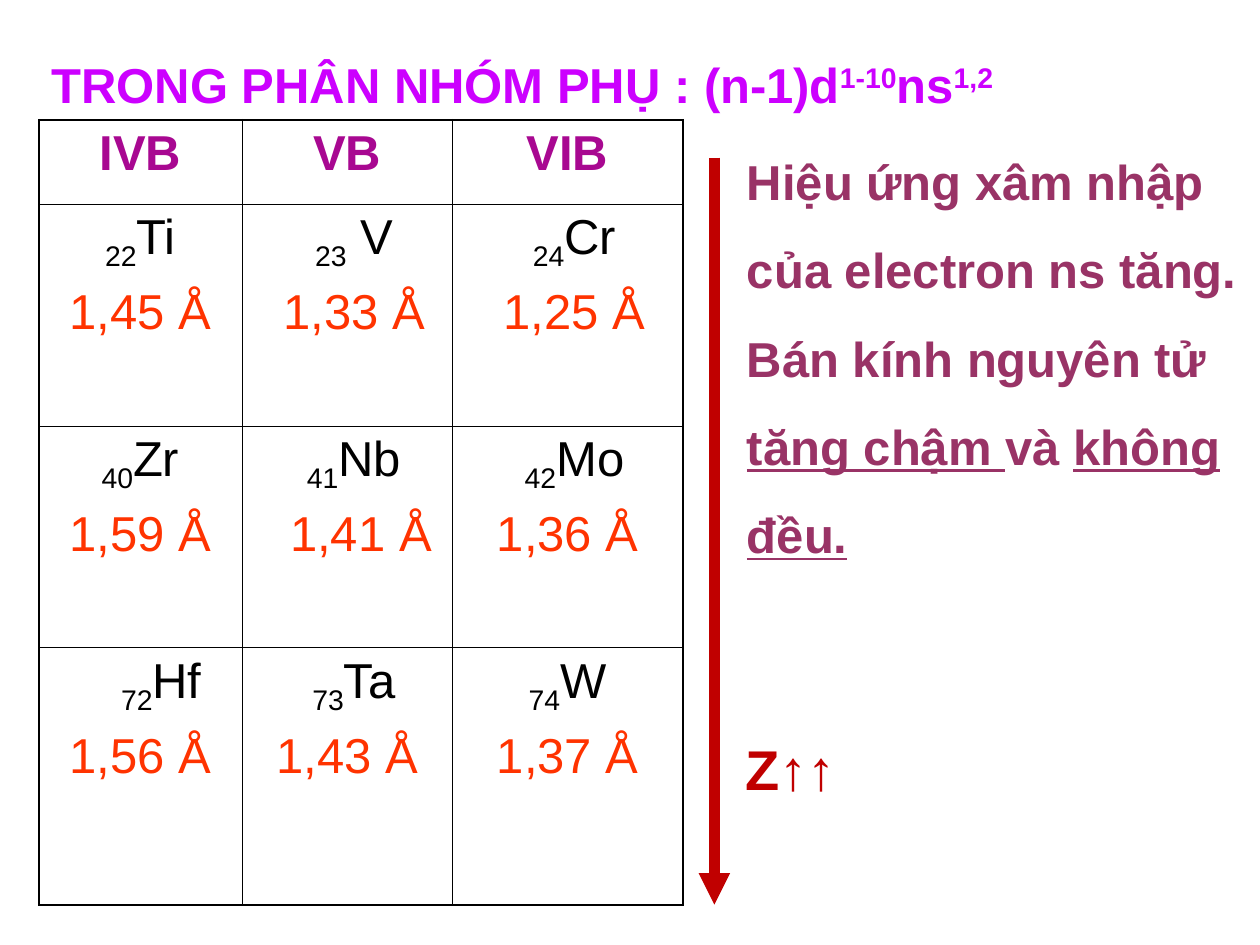
from typing import NamedTuple

from lxml import etree
from pptx import Presentation
from pptx.dml.color import RGBColor
from pptx.enum.shapes import MSO_CONNECTOR
from pptx.enum.text import MSO_ANCHOR, MSO_AUTO_SIZE, PP_ALIGN
from pptx.oxml.ns import qn
from pptx.util import Emu, Inches, Pt

LINE = MSO_CONNECTOR.STRAIGHT
TOP = MSO_ANCHOR.TOP
FIXED = MSO_AUTO_SIZE.NONE
GROW = MSO_AUTO_SIZE.SHAPE_TO_FIT_TEXT
LEFT, MID = PP_ALIGN.LEFT, PP_ALIGN.CENTER

WIDE, HIGH = Inches(10), Inches(7.5)
FONT = "Arial"
INK = {"title": "CC00FF", "head": "A80891", "atom": "000000",
       "size": "FF3300", "note": "993366", "arrow": "C00000"}
SUPER, SUB = 30, -25
THICK, THIN = 1.08, 0.45
STEP = Inches(0.11)


class Box(NamedTuple):
    left: float
    top: float
    width: float
    height: float


class Bit(NamedTuple):
    text: str
    base: int = 0
    under: bool = False


class Atom(NamedTuple):
    num: str
    sign: str
    span: str
    shift: int = 0
    drift: int = 0


COLS = [16.1, 16.7, 18.3]
ROWS = [8.93, 23.47, 23.47, 27.2]
GRID = Box(3.1, 12.67, sum(COLS), sum(ROWS))
HEADS = ["IVB", "VB", "VIB"]
ATOMS = [
    [Atom("22", "Ti", "1,45 Å"), Atom("23", " V", "1,33 Å", 1, 1),
     Atom("24", "Cr", "1,25 Å", 1, 1)],
    [Atom("40", "Zr", "1,59 Å"), Atom("41", "Nb", "1,41 Å", 1, 2),
     Atom("42", "Mo", "1,36 Å", 1)],
    [Atom("72", "Hf", "1,56 Å", 3), Atom("73", "Ta", "1,43 Å", 1),
     Atom("74", "W", "1,37 Å")],
]
TITLE = [Bit("TRONG PHÂN NHÓM PHỤ : (n-1)d"), Bit("1-10", SUPER),
         Bit("ns"), Bit("1,2", SUPER)]
NOTES = [
    [Bit("Hiệu ứng xâm nhập của electron ns tăng.")],
    [Bit("Bán kính nguyên tử "), Bit("tăng chậm ", under=True),
     Bit("và "), Bit("không đều.", under=True)],
]


def across(share: float) -> Emu:
    return Emu(round(WIDE * share / 100))


def down(share: float) -> Emu:
    return Emu(round(HIGH * share / 100))


def place(box: Box) -> tuple:
    return across(box.left), down(box.top), across(box.width), down(box.height)


def write(para, bits: list[Bit], tint: str, size: int = 28,
          bold: bool = True, align=LEFT) -> None:
    para.alignment = align
    for bit in bits:
        run = para.add_run()
        run.text = bit.text
        font = run.font
        font.name, font.size, font.bold = FONT, Pt(size), bold
        font.color.rgb = RGBColor.from_string(INK[tint])
        if bit.under:
            font.underline = True
        if bit.base:
            run._r.get_or_add_rPr().set("baseline", str(bit.base * 1000))


def indent(para, steps: int) -> None:
    if steps:
        props = para._p.get_or_add_pPr()
        props.set("marL", str(STEP * steps))
        props.set("indent", "0")


def edge(cell, row: int, col: int) -> None:
    props = cell._tc.get_or_add_tcPr()
    outer = {"L": col == 0, "R": col == len(COLS) - 1,
             "T": row == 0, "B": row == len(ROWS) - 1}
    for side, rim in outer.items():
        line = etree.SubElement(props, qn(f"a:ln{side}"),
                                w=str(Pt(THICK if rim else THIN)))
        fill = etree.SubElement(line, qn("a:solidFill"))
        etree.SubElement(fill, qn("a:srgbClr"), val=INK["atom"])
    cell.fill.background()


def fill_atom(frame, atom: Atom) -> None:
    name = frame.paragraphs[0]
    write(name, [Bit(atom.num, SUB), Bit(atom.sign)], "atom",
          bold=False, align=MID)
    indent(name, atom.shift)
    span = frame.add_paragraph()
    write(span, [Bit(atom.span)], "size", bold=False, align=MID)
    span.space_before = Pt(7)
    indent(span, atom.drift)


def draw_grid(slide) -> None:
    table = slide.shapes.add_table(len(ROWS), len(COLS), *place(GRID)).table
    table.first_row = table.horz_banding = False
    for col, share in zip(table.columns, COLS):
        col.width = across(share)
    for row, share in zip(table.rows, ROWS):
        row.height = down(share)
    for r in range(len(ROWS)):
        for c in range(len(COLS)):
            cell = table.cell(r, c)
            edge(cell, r, c)
            if r == 0:
                write(cell.text_frame.paragraphs[0], [Bit(HEADS[c])],
                      "head", align=MID)
            else:
                fill_atom(cell.text_frame, ATOMS[r - 1][c])


def draw_title(slide) -> None:
    title = slide.shapes.title
    title.left, title.top, title.width, title.height = place(
        Box(3.1, 3.33, 96.7, 16.67))
    frame = title.text_frame
    frame.auto_size, frame.vertical_anchor = FIXED, TOP
    frame.word_wrap = True
    frame.margin_top = Inches(0.18)
    write(frame.paragraphs[0], TITLE, "title")


def draw_text(slide, box: Box, lines: list[list[Bit]], tint: str,
              size: int = 28, gap: float = 1, inset: float = 0.05) -> None:
    frame = slide.shapes.add_textbox(*place(box)).text_frame
    frame.word_wrap, frame.auto_size = True, GROW
    frame.margin_top = Inches(inset)
    for i, bits in enumerate(lines):
        para = frame.add_paragraph() if i else frame.paragraphs[0]
        para.line_spacing = gap
        write(para, bits, tint, size)


def draw_arrow(slide) -> None:
    x = across(56.7)
    arrow = slide.shapes.add_connector(LINE, x, down(16.67), x, down(95.73))
    arrow.line.width = Pt(6)
    arrow.line.color.rgb = RGBColor.from_string(INK["arrow"])
    etree.SubElement(arrow.line._get_or_add_ln(), qn("a:tailEnd"),
                     type="triangle")
    etree.SubElement(arrow._element.spPr, qn("a:effectLst"))


def main() -> None:
    deck = Presentation()
    deck.slide_width, deck.slide_height = WIDE, HIGH
    slide = deck.slides.add_slide(deck.slide_layouts[5])
    draw_title(slide)
    draw_grid(slide)
    draw_text(slide, Box(58.3, 2.4, 42.1, 54.27), NOTES, "note",
              gap=1.5, inset=0.79)
    draw_arrow(slide)
    draw_text(slide, Box(58.2, 77.07, 14.2, 8.53), [[Bit("Z↑↑")]],
              "arrow", size=32)
    deck.save("out.pptx")


if __name__ == "__main__":
    main()
